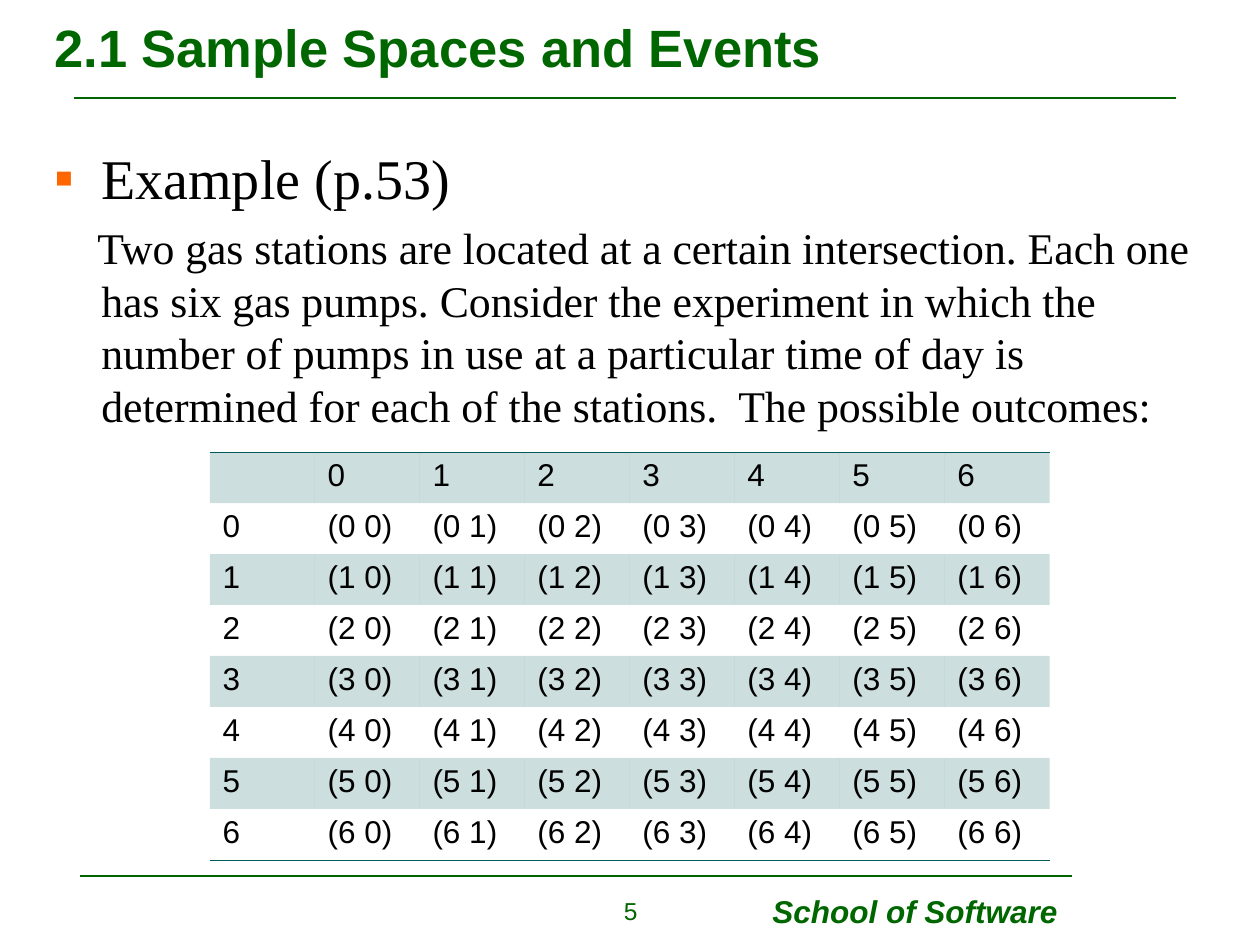
import pptx
import pptx.util
import pptx.dml.color
import pptx.enum.shapes
import pptx.enum.text
import pptx.oxml.ns
import lxml.etree

PX = 914400 / 126
COLORS = {"green": "006600", "teal": "005C5C", "orange": "FF6600", "black": "000000"}
PLAIN_TABLE = "{2D5ABB26-0587-4C30-8999-92F81FD0307C}"
PUMPS = range(7)
QUESTION = (
    "Two gas stations are located at a certain intersection. Each one has six gas pumps. "
    "Consider the experiment in which the number of pumps in use at a particular time of day "
    "is determined for each of the stations.  The possible outcomes:"
)


def px(length):
    """Turn a length in px into EMU."""
    return pptx.util.Emu(round(length * PX))


def rgb(name):
    """Look up a named colour."""
    return pptx.dml.color.RGBColor.from_string(COLORS[name])


def child(parent, tag, **attributes):
    """Append a drawing element to a parent element."""
    return lxml.etree.SubElement(parent, pptx.oxml.ns.qn(tag), attributes)


def add_run(paragraph, text, size, color="black", face="Arial", bold=False, italic=False):
    """Add one formatted run."""
    run = paragraph.add_run()
    run.text = text
    run.font.size = pptx.util.Pt(size)
    run.font.name = face
    run.font.bold = bold
    run.font.italic = italic
    run.font.color.rgb = rgb(color)


def add_box(slide, left, top, width, height):
    """Add an empty wrapping text box and return its text frame."""
    frame = slide.shapes.add_textbox(px(left), px(top), px(width), px(height)).text_frame
    frame.word_wrap = True
    return frame


def add_rule(slide, left, right, y):
    """Add a horizontal green rule."""
    rule = slide.shapes.add_connector(
        pptx.enum.shapes.MSO_CONNECTOR.STRAIGHT, px(left), px(y), px(right), px(y)
    )
    rule.line.color.rgb = rgb("green")
    rule.line.width = pptx.util.Pt(1.5)
    child(rule._element.spPr, "a:effectLst")


def indent(paragraph, margin, first_line):
    """Set the left margin and first-line indent, and return the properties."""
    properties = paragraph._p.get_or_add_pPr()
    properties.set("marL", str(px(margin)))
    properties.set("indent", str(px(first_line)))
    return properties


def add_body(slide):
    """Add the example heading and its question."""
    frame = add_box(slide, 42, 137, 1177, 728)
    heading = frame.paragraphs[0]
    properties = indent(heading, 47, -47)
    child(child(properties, "a:buClr"), "a:srgbClr", val=COLORS["orange"])
    child(properties, "a:buFont", typeface="Arial")
    child(properties, "a:buChar", char="▪")
    add_run(heading, "Example (p.53)", 32, face="Times New Roman")

    question = frame.add_paragraph()
    question.space_before = pptx.util.Pt(6.2)
    child(indent(question, 47, -4), "a:buNone")
    add_run(question, QUESTION, 25, face="Times New Roman")


def shade_cell(cell):
    """Fill a cell with translucent teal."""
    cell.fill.solid()
    cell.fill.fore_color.rgb = rgb("teal")
    tint = cell._tc.tcPr.find(".//" + pptx.oxml.ns.qn("a:srgbClr"))
    child(tint, "a:alpha", val="20000")


def edge_cell(cell, tag):
    """Draw a thin teal border on one side of a cell."""
    properties = cell._tc.get_or_add_tcPr()
    border = child(properties, tag, w=str(pptx.util.Pt(0.45)))
    child(child(border, "a:solidFill"), "a:srgbClr", val=COLORS["teal"])
    properties.insert(0, border)


def add_outcomes(slide):
    """Add the table of outcomes for both stations."""
    rows = [["", *map(str, PUMPS)]]
    rows += [[str(first), *(f"({first} {second})" for second in PUMPS)] for first in PUMPS]
    count = len(rows)
    frame = slide.shapes.add_table(count, count, px(210), px(452), px(105 * count), px(51 * count))
    outcomes = frame.table
    outcomes.first_row = outcomes.horz_banding = False
    outcomes._tbl.tblPr.find(pptx.oxml.ns.qn("a:tableStyleId")).text = PLAIN_TABLE
    for row, texts in enumerate(rows):
        for column, text in enumerate(texts):
            cell = outcomes.cell(row, column)
            if text:
                add_run(cell.text_frame.paragraphs[0], text, 18)
            if row % 2 == 0:
                shade_cell(cell)
            else:
                cell.fill.background()
            if row == 0:
                edge_cell(cell, "a:lnT")
            if row == count - 1:
                edge_cell(cell, "a:lnB")


def main():
    """Build the slide and save it."""
    deck = pptx.Presentation()
    deck.slide_width, deck.slide_height = px(1260), px(945)
    slide = deck.slides.add_slide(deck.slide_layouts[6])

    add_rule(slide, 74, 1176, 98)
    add_rule(slide, 80, 1072, 876)
    school = add_box(slide, 760, 886, 320, 50)
    add_run(school.paragraphs[0], "School of Software", 18, "green", bold=True, italic=True)

    add_body(slide)
    title = add_box(slide, 42, 4, 1177, 86)
    title.vertical_anchor = pptx.enum.text.MSO_ANCHOR.MIDDLE
    add_run(title.paragraphs[0], "2.1 Sample Spaces and Events", 30, "green", bold=True)

    page = add_box(slide, 522, 890, 128, 45).paragraphs[0]
    page.alignment = pptx.enum.text.PP_ALIGN.RIGHT
    add_run(page, "5", 14, "green")
    add_outcomes(slide)
    deck.save("out.pptx")


if __name__ == "__main__":
    main()
